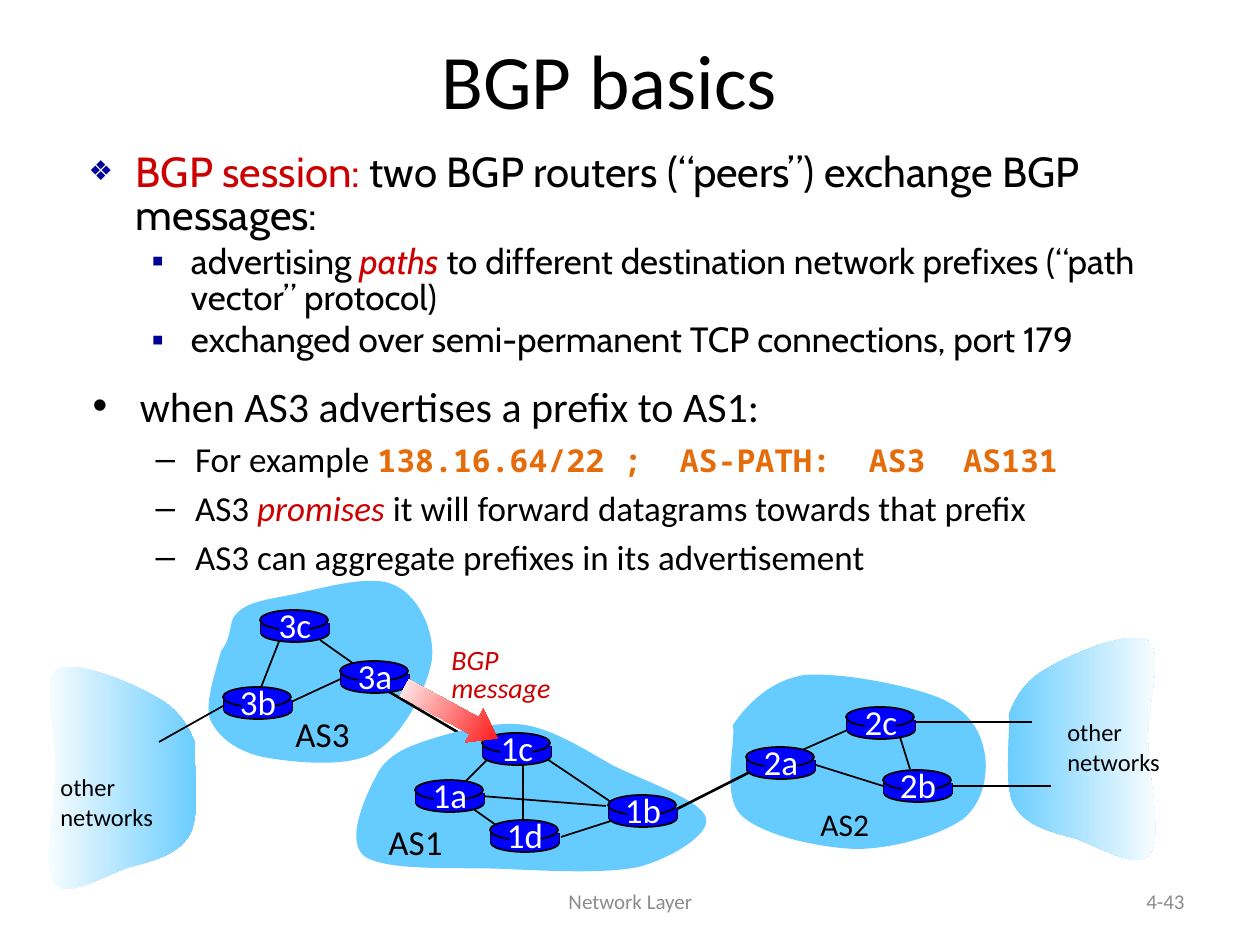
from lxml.etree import SubElement
from pptx import Presentation
from pptx.dml.color import RGBColor
from pptx.enum.shapes import MSO_CONNECTOR, MSO_SHAPE
from pptx.enum.text import MSO_ANCHOR, MSO_AUTO_SIZE, PP_ALIGN
from pptx.oxml.ns import qn
from pptx.util import Pt

PX = 914400 / 126
BLACK, WHITE, RED, GREY = "000000", "FFFFFF", "CC0000", "8C8C8C"
SKY, ROUTER_BLUE, NAVY, ORANGE = "66CCFF", "0000FF", "000099", "E46C0A"

# Closed outlines: a start point, then two controls and an end for each curve.
AS1 = [(379, 771), (392, 751), (413, 745), (438, 737), (462, 730), (496, 721),
       (525, 725), (554, 730), (582, 748), (612, 765), (641, 780), (702, 800),
       (706, 818), (711, 834), (672, 858), (639, 867), (605, 874), (549, 871),
       (504, 869), (459, 867), (386, 872), (364, 856), (344, 839), (368, 791)]
AS2 = [(733, 725), (747, 704), (771, 680), (805, 675), (839, 672), (907, 685),
       (937, 697), (968, 709), (980, 730), (984, 750), (989, 770), (984, 803),
       (963, 819), (941, 835), (893, 849), (856, 849), (819, 848), (761, 835),
       (741, 815), (721, 795), (736, 743)]
AS3 = [(221, 651), (234, 635), (227, 621), (238, 612), (249, 602), (265, 600),
       (290, 595), (316, 590), (370, 573), (394, 585), (418, 595), (435, 631),
       (432, 659), (428, 687), (403, 736), (375, 752), (348, 769), (290, 762),
       (263, 757), (236, 751), (218, 737), (210, 719), (204, 702), (218, 665)]
RIGHT_NETWORK = [
    (1009, 714), (1017, 694), (1027, 679), (1050, 667), (1072, 654), (1131, 629),
    (1148, 641), (1164, 653), (1147, 704), (1148, 740), (1148, 776), (1163, 838),
    (1150, 854), (1139, 871), (1100, 847), (1077, 839), (1053, 832), (1026, 827),
    (1014, 805), (1003, 785), (1011, 733)]
LEFT_NETWORK = [(1204 - x, y + 29) for x, y in RIGHT_NETWORK]

AS3_ROUTERS = {"3b": (223, 687), "3c": (260, 610), "3a": (340, 661)}
AS1_ROUTERS = {"1c": (482, 733), "1a": (415, 780), "1d": (490, 820), "1b": (608, 795)}
AS2_ROUTERS = {"2a": (746, 747), "2c": (846, 707), "2b": (883, 770)}

AS3_LINKS = [(291, 702, 345, 677), (354, 664, 320, 640), (280, 639, 260, 690)]
AS1_LINKS = [(488, 759, 466, 781), (523, 764, 523, 827), (544, 757, 614, 804),
             (614, 820, 561, 837), (606, 806, 481, 796), (469, 806, 496, 825)]
AS2_LINKS = [(791, 755, 852, 728), (816, 765, 883, 786), (900, 737, 910, 769)]
RIGHT_LINKS = [(915, 722, 1032, 722), (949, 786, 1051, 786)]


def px(*lengths):
    return [round(length * PX) for length in lengths]


def rgb(color):
    return RGBColor.from_string(color)


def paint(shape, colors, outlined=False):
    """Fill with one colour, or with a left-to-right gradient of two."""
    shape.shadow.inherit = False
    if len(colors) == 1:
        shape.fill.solid()
        shape.fill.fore_color.rgb = rgb(colors[0])
    else:
        shape.fill.gradient()
        shape.fill.gradient_angle = 0
        for stop, color in zip(shape.fill.gradient_stops, colors):
            stop.color.rgb = rgb(color)
    if outlined:
        shape.line.color.rgb = rgb(BLACK)
        shape.line.width = Pt(1)
    else:
        shape.line.fill.background()


def add_link(shapes, ends, width=1):
    link = shapes.add_connector(MSO_CONNECTOR.STRAIGHT, *px(*ends))
    link.line.color.rgb = rgb(BLACK)
    link.line.width = Pt(width)
    SubElement(link._element.spPr, qn("a:effectLst"))


def add_cloud(shapes, outline, *colors):
    """Draw the outline, turning each three segments into one cubic curve."""
    builder = shapes.build_freeform(*px(*outline[0]))
    builder.add_line_segments([px(*point) for point in outline[1:] + outline[:1]],
                              close=True)
    cloud = builder.convert_to_shape()
    segments = list(cloud._element.iter(qn("a:lnTo")))
    for start in range(0, len(outline), 3):
        first, *others = segments[start:start + 3]
        first.tag = qn("a:cubicBezTo")
        for segment in others:
            first.append(segment[0])
            segment.getparent().remove(segment)
    paint(cloud, colors)


def format_run(run, size, color=BLACK, font="Calibri", bold=False, italic=False):
    run.font.size = Pt(size)
    run.font.name = font
    run.font.color.rgb = rgb(color)
    run.font.bold = bold
    run.font.italic = italic


def add_label(shapes, box, text, size, color=BLACK, align=PP_ALIGN.LEFT,
              italic=False, spacing=None, anchor=MSO_ANCHOR.TOP):
    frame = shapes.add_textbox(*px(*box)).text_frame
    frame.word_wrap = False
    frame.vertical_anchor = anchor
    frame.text = text
    for paragraph in frame.paragraphs:
        paragraph.alignment = align
        paragraph.line_spacing = spacing
        format_run(paragraph.runs[0], size, color, italic=italic)


def add_router(shapes, name, x, y):
    router = shapes.add_group_shape().shapes

    def add_part(kind, box, outlined=False):
        paint(router.add_shape(kind, *px(*box)), [ROUTER_BLUE], outlined)

    add_part(MSO_SHAPE.OVAL, (x + 1, y + 14, 68, 18), True)
    for side in (x + 1, x + 69):
        add_link(router, (side, y + 13, side, y + 24))
    add_part(MSO_SHAPE.RECTANGLE, (x + 1, y + 13, 68, 11))
    add_part(MSO_SHAPE.OVAL, (x, y, 68, 20), True)
    add_part(MSO_SHAPE.RECTANGLE, (x + 19, y + 3, 30, 26))
    add_label(router, (x + 1, y - 13, 68, 54), name, 20, WHITE, PP_ALIGN.CENTER)


def add_routers(shapes, links, routers):
    for ends in links:
        add_link(shapes, ends)
    for name, corner in routers.items():
        add_router(shapes, name, *corner)


def place(placeholder, box):
    placeholder.left, placeholder.top, placeholder.width, placeholder.height = px(*box)
    placeholder.text_frame.auto_size = MSO_AUTO_SIZE.NONE


def set_bullet(paragraph, char, size):
    properties = paragraph._p.get_or_add_pPr()
    bullet_color = SubElement(properties, qn("a:buClr"))
    SubElement(bullet_color, qn("a:srgbClr"), val=NAVY)
    SubElement(properties, qn("a:buSzPct"), val=str(size * 1000))
    SubElement(properties, qn("a:buChar"), char=char)


def fill_list(body, box, items, font, spacing=None, bullets=None):
    """Write items of (level, [(text, run format), ...]) into a body placeholder."""
    place(body, box)
    frame = body.text_frame
    for index, (level, parts) in enumerate(items):
        paragraph = frame.add_paragraph() if index else frame.paragraphs[0]
        paragraph.level = level
        paragraph.line_spacing = spacing
        if bullets:
            set_bullet(paragraph, *bullets[level])
        for text, style in parts:
            run = paragraph.add_run()
            run.text = text
            format_run(run, **{"size": 20 if level else 24, "font": font, **style})


def main():
    deck = Presentation()
    deck.slide_width, deck.slide_height = px(1260, 945)
    slide = deck.slides.add_slide(deck.slide_layouts[3])
    shapes = slide.shapes
    title, session, advertising = slide.placeholders

    place(title, (74, 0, 1071, 158))
    title.text_frame.text = "BGP basics"
    format_run(title.text_frame.paragraphs[0].runs[0], 44)

    emphasis = {"color": RED, "italic": True}
    fill_list(session, (76, 147, 1172, 275), [
        (0, [("BGP session: ", {"color": RED}),
             ("two BGP routers (“peers”) exchange BGP messages:", {})]),
        (1, [("advertising ", {}), ("paths ", emphasis),
             ("to different destination network prefixes (“path vector” protocol)", {})]),
        (1, [("exchanged over semi-permanent TCP connections, port 179", {})]),
    ], "Cabin", 0.85, [("❖", 65), ("▪", 100)])
    example = {"size": 18, "color": ORANGE, "font": "Noto Sans Mono", "bold": True}
    fill_list(advertising, (80, 374, 1120, 324), [
        (0, [("when AS3 advertises a prefix to AS1:", {})]),
        (1, [("For example ", {}), ("138.16.64/22 ;  AS-PATH:  AS3  AS131", example)]),
        (1, [("AS3 ", {}), ("promises", emphasis),
             (" it will forward datagrams towards that prefix", {})]),
        (1, [("AS3 can aggregate prefixes in its advertisement", {})]),
    ], "Calibri")

    add_cloud(shapes, RIGHT_NETWORK, SKY, WHITE)
    add_cloud(shapes, LEFT_NETWORK, WHITE, SKY)
    add_cloud(shapes, AS2, SKY)
    add_cloud(shapes, AS3, SKY)
    add_link(shapes, (386, 690, 483, 747), 1.5)
    add_routers(shapes, AS3_LINKS, AS3_ROUTERS)
    add_cloud(shapes, AS1, SKY)
    add_routers(shapes, AS1_LINKS, AS1_ROUTERS)
    for ends in RIGHT_LINKS:
        add_link(shapes, ends, 0.75)
    add_routers(shapes, AS2_LINKS, AS2_ROUTERS)
    add_link(shapes, (223, 706, 159, 742))
    add_link(shapes, (677, 809, 750, 772), 1.5)

    add_label(shapes, (283, 706, 92, 54), "AS3", 20)
    add_label(shapes, (376, 814, 92, 54), "AS1", 20)
    add_label(shapes, (808, 799, 84, 50), "AS2", 18)
    for corner in ((1055, 711), (48, 766)):
        add_label(shapes, (*corner, 123, 72), "other\nnetworks", 14)

    message = shapes.add_shape(MSO_SHAPE.LEFT_ARROW, *px(398, 694, 106, 38))
    message.adjustments[1] = 0.7
    message.rotation = 208.5
    paint(message, ["FF0000", WHITE])
    add_label(shapes, (439, 641, 139, 71), "BGP\nmessage", 16, RED, italic=True, spacing=0.85)

    add_label(shapes, (431, 876, 399, 50), "Network Layer", 12, GREY,
              PP_ALIGN.CENTER, anchor=MSO_ANCHOR.MIDDLE)
    add_label(shapes, (903, 876, 294, 50), "4-43", 12, GREY,
              PP_ALIGN.RIGHT, anchor=MSO_ANCHOR.MIDDLE)
    deck.save("out.pptx")


if __name__ == "__main__":
    main()
